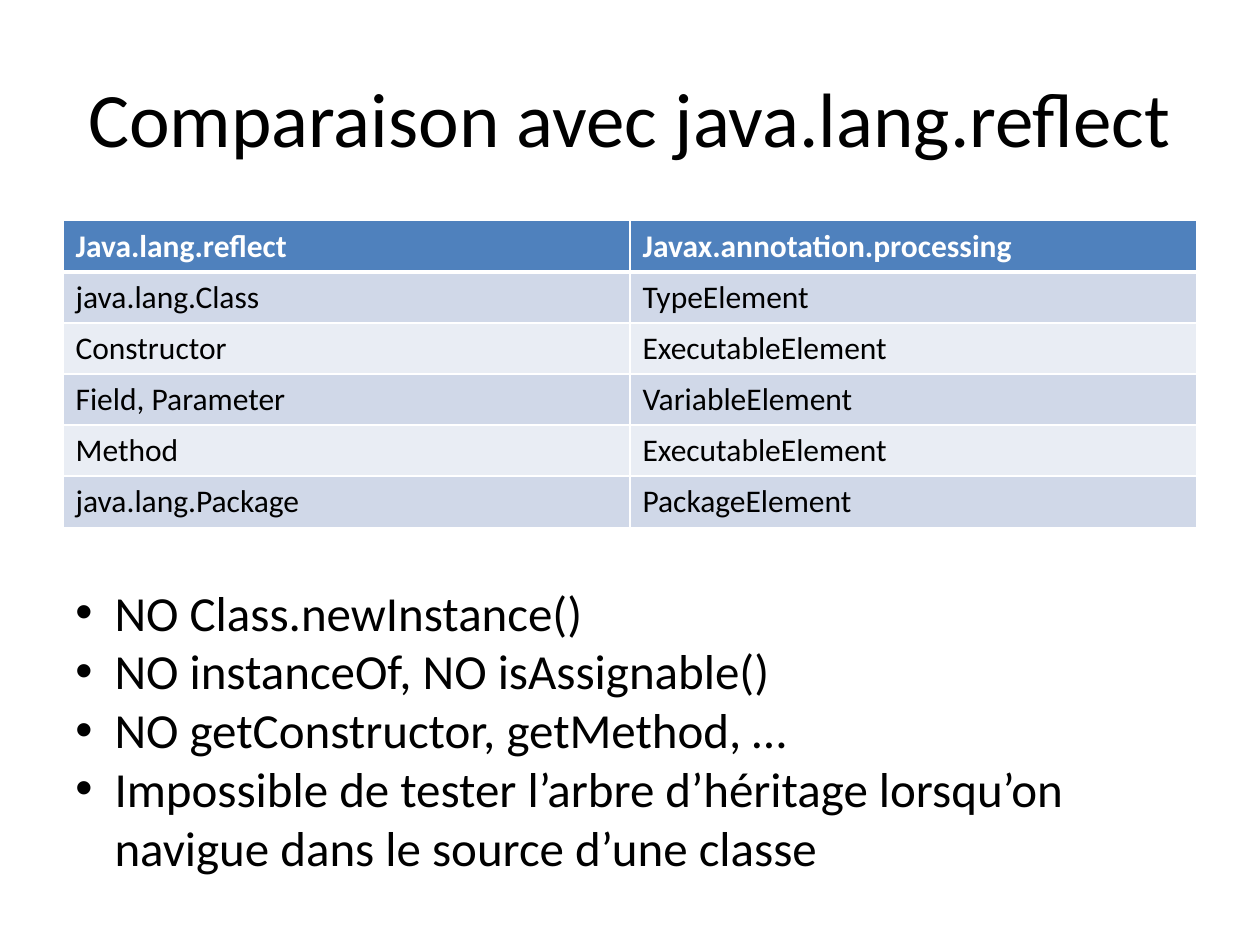
from lxml import etree
from pptx import Presentation
from pptx import util as u
from pptx.dml.color import RGBColor
from pptx.enum import text
from pptx.oxml import ns

FONT = "Calibri"
HEX = {"ink": "000000", "white": "FFFFFF", "head": "4F81BD",
       "odd": "D0D8E8", "even": "E9EDF4"}
LEFT, WIDTH = u.Cm(1.27), u.Cm(22.86)
ROWS = [
    ("Java.lang.reflect", "Javax.annotation.processing"),
    ("java.lang.Class", "TypeElement"),
    ("Constructor", "ExecutableElement"),
    ("Field, Parameter", "VariableElement"),
    ("Method", "ExecutableElement"),
    ("java.lang.Package", "PackageElement"),
]
NOTES = [
    "NO Class.newInstance()",
    "NO instanceOf, NO isAssignable()",
    "NO getConstructor, getMethod, …",
    "Impossible de tester l’arbre d’héritage lorsqu’on "
    "navigue dans le source d’une classe",
]


def style(frame, size, color="ink", bold=False):
    """Format every run of a text frame."""
    for par in frame.paragraphs:
        for run in par.runs:
            font = run.font
            font.name, font.size, font.bold = FONT, u.Pt(size), bold
            font.color.rgb = RGBColor.from_string(HEX[color])


def add_title(slide, words):
    """Place and fill the title placeholder."""
    title = slide.shapes.title
    title.left, title.top = LEFT, u.Cm(0.76)
    title.width, title.height = WIDTH, u.Cm(3.18)
    frame = title.text_frame
    frame.text = words
    frame.vertical_anchor = text.MSO_ANCHOR.MIDDLE
    frame.paragraphs[0].alignment = text.PP_ALIGN.CENTER
    style(frame, 44)


def add_edge(cell, side, width):
    """Draw one white border of a cell."""
    props = cell._tc.get_or_add_tcPr()
    line = etree.SubElement(props, ns.qn("a:ln" + side), w=str(u.Pt(width)))
    fill = etree.SubElement(line, ns.qn("a:solidFill"))
    etree.SubElement(fill, ns.qn("a:srgbClr"), val=HEX["white"])


def add_grid(slide, rows):
    """Add the table with a header row and banded body rows."""
    grid = slide.shapes.add_table(len(rows), len(rows[0]), LEFT, u.Cm(4.45),
                                  WIDTH, u.Cm(1.03 * len(rows))).table
    for i, row in enumerate(rows):
        head = i == 0
        shade = "head" if head else "odd" if i % 2 else "even"
        for j, words in enumerate(row):
            cell = grid.cell(i, j)
            cell.text_frame.text = words
            style(cell.text_frame, 18, "white" if head else "ink", head)
            for side in "LRTB":
                thick = (head and side == "B") or (i == 1 and side == "T")
                add_edge(cell, side, 3 if thick else 1)
            cell.fill.solid()
            cell.fill.fore_color.rgb = RGBColor.from_string(HEX[shade])


def add_list(slide, items):
    """Add the bulleted text box."""
    box = slide.shapes.add_textbox(LEFT, u.Cm(11.61), WIDTH, u.Cm(6.25))
    frame = box.text_frame
    frame.word_wrap = True
    frame.auto_size = text.MSO_AUTO_SIZE.SHAPE_TO_FIT_TEXT
    frame.text = "\n".join(items)
    indent = u.Cm(0.79)
    for par in frame.paragraphs:
        props = par._p.get_or_add_pPr()
        props.set("marL", str(indent))
        props.set("indent", str(-indent))
        etree.SubElement(props, ns.qn("a:buFont"), typeface="Arial")
        etree.SubElement(props, ns.qn("a:buChar"), char="•")
    style(frame, 28)


def main():
    """Build and save the slide."""
    deck = Presentation()
    deck.slide_width, deck.slide_height = u.Cm(25.4), u.Cm(19.05)
    slide = deck.slides.add_slide(deck.slide_layouts[5])
    add_title(slide, "Comparaison avec java.lang.reflect")
    add_grid(slide, ROWS)
    add_list(slide, NOTES)
    deck.save("out.pptx")


main()
